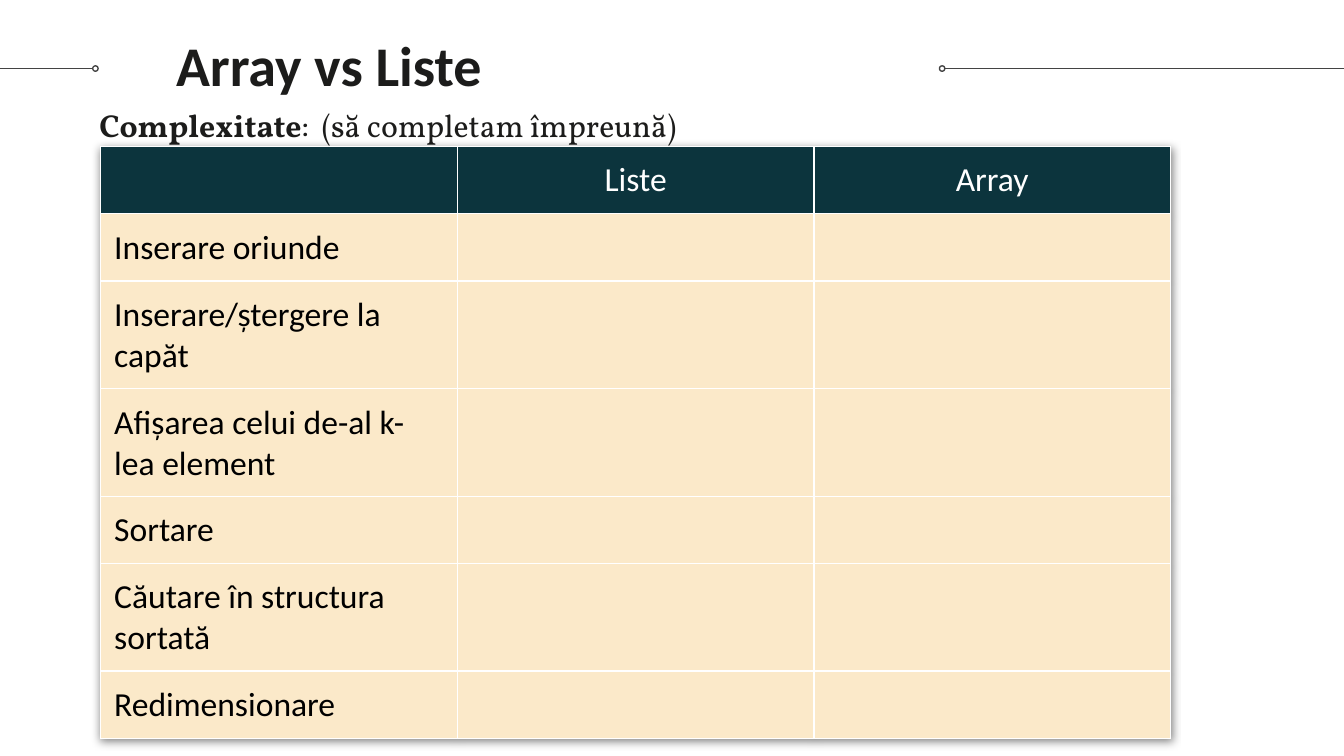
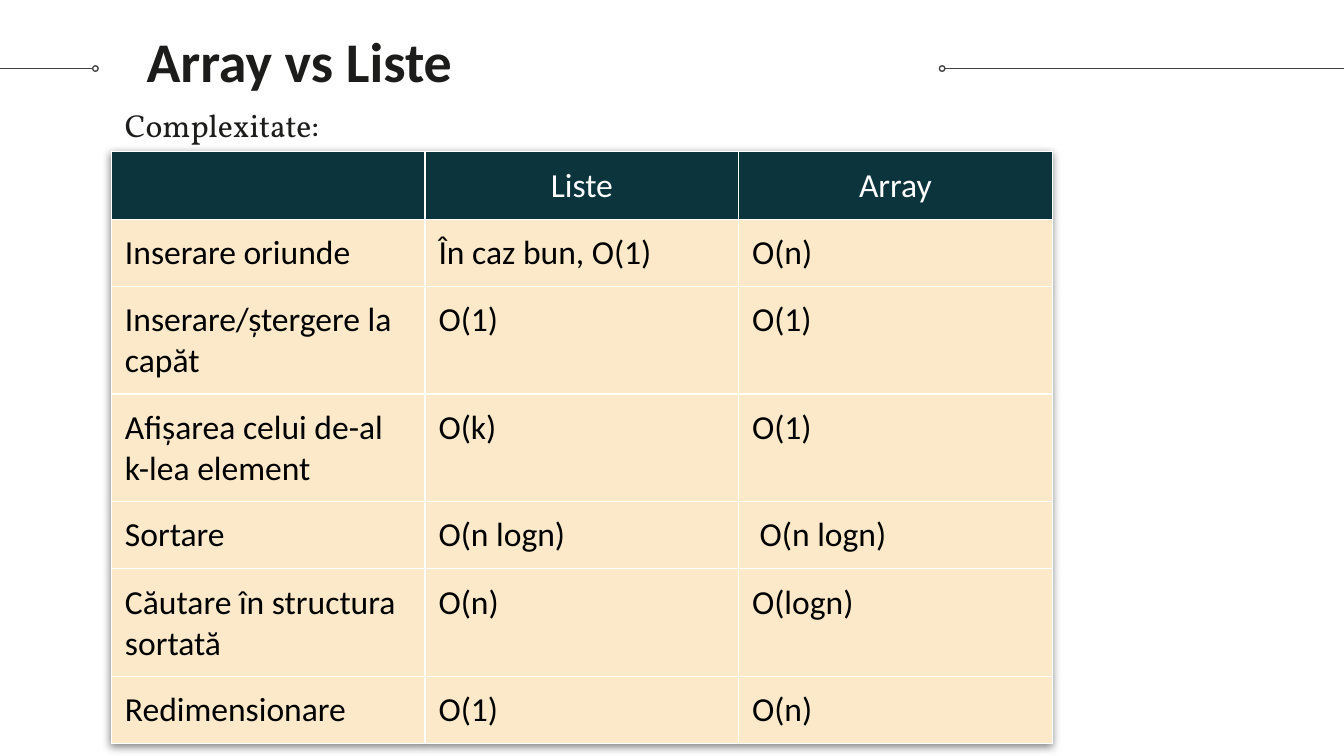
from lxml.etree import SubElement
from pptx import Presentation
from pptx.dml.color import RGBColor
from pptx.enum.shapes import MSO_CONNECTOR, MSO_SHAPE
from pptx.enum.text import MSO_ANCHOR as ANCHOR, PP_ALIGN as ALIGN
from pptx.oxml import parse_xml
from pptx.oxml.ns import nsdecls, qn
from pptx.util import Inches, Pt

INK = "1C1C1B"
RULE = "434343"
HEADER_FILL = "0C343D"
BODY_FILL = "FBE9C9"
WHITE = "FFFFFF"
BLACK = "000000"
MARGIN = Inches(0.1)
DOT = 0.04
RULE_Y = 0.51
RULES = [(0, 0.69, 0.69), (7.03, 10, 6.99)]
TABLE_HEIGHT = 4.4
TALL_ROWS = (2, 3, 5)
HEADER = ["", "Liste", "Array"]
OPERATIONS = [
    "Inserare oriunde",
    "Inserare/ștergere la capăt",
    "Afișarea celui de-al k-lea element",
    "Sortare",
    "Căutare în structura sortată",
    "Redimensionare",
]
COSTS = [
    ("În caz bun, O(1)", "O(n)"),
    ("O(1)", "O(1)"),
    ("O(k)", "O(1)"),
    ("O(n logn)", " O(n logn)"),
    ("O(n)", "O(logn)"),
    ("O(1)", "O(n)"),
]
SLIDES = [
    {
        "title": (1.21, 0.13),
        "caption_left": 0.64,
        "caption": [("Complexitate", True), (":  (să completam împreună)", False)],
        "table": (0.75, 1.09, 7.96),
        "row_heights": (0.49, 0.79),
        "costs": [("", "")] * len(OPERATIONS),
    },
    {
        "title": (0.99, 0.1),
        "caption_left": 0.83,
        "caption": [("Complexitate:", False)],
        "table": (0.83, 1.13, 7),
        "row_heights": (0.4, 0.64),
        "costs": COSTS,
    },
]


def color(value):
    return RGBColor.from_string(value)


def style_font(font, name, size, value, bold=False):
    font.name = name
    font.size = Pt(size)
    font.bold = bold
    font.color.rgb = color(value)


presentation = Presentation()
presentation.slide_width = Inches(10)
presentation.slide_height = Inches(10 * 9 / 16)

for content in SLIDES:
    slide = presentation.slides.add_slide(presentation.slide_layouts[5])

    for start, end, dot_left in RULES:
        rule = slide.shapes.add_connector(
            MSO_CONNECTOR.STRAIGHT,
            Inches(start), Inches(RULE_Y), Inches(end), Inches(RULE_Y),
        )
        SubElement(rule._element.spPr, qn("a:effectLst"))
        dot = slide.shapes.add_shape(
            MSO_SHAPE.OVAL,
            Inches(dot_left), Inches(RULE_Y - DOT / 2), Inches(DOT), Inches(DOT),
        )
        dot.shadow.inherit = False
        dot.fill.background()
        for line in (rule.line, dot.line):
            line.color.rgb = color(RULE)
            line.width = Pt(0.75)

    title = slide.shapes.title
    title.left, title.top = [Inches(value) for value in content["title"]]
    title.width, title.height = Inches(9.32), Inches(0.77)
    title.text_frame.text = "Array vs Liste"
    title.text_frame.vertical_anchor = ANCHOR.TOP
    paragraph = title.text_frame.paragraphs[0]
    paragraph.alignment = ALIGN.LEFT
    style_font(paragraph.runs[0].font, "Calibri", 30, INK, True)

    caption = slide.shapes.add_textbox(
        Inches(content["caption_left"]), Inches(0.69), Inches(9.32), Inches(4.24)
    )
    caption.text_frame.word_wrap = True
    for text, bold in content["caption"]:
        run = caption.text_frame.paragraphs[0].add_run()
        run.text = text
        style_font(run.font, "Vollkorn", 17, INK, bold)

    for frame in (title.text_frame, caption.text_frame):
        frame.margin_left = frame.margin_right = MARGIN
        frame.margin_top = frame.margin_bottom = MARGIN

    rows = [HEADER] + [[name, *costs] for name, costs in zip(OPERATIONS, content["costs"])]
    left, top, width = content["table"]
    short_height, tall_height = content["row_heights"]
    table_frame = slide.shapes.add_table(
        len(rows), len(HEADER),
        Inches(left), Inches(top), Inches(width), Inches(TABLE_HEIGHT),
    )
    table = table_frame.table
    table.horz_banding = False
    table._tbl.tblPr.insert(0, parse_xml(
        f'<a:effectLst {nsdecls("a")}>'
        '<a:outerShdw blurRad="57150" dist="19050" dir="5400000" algn="bl" rotWithShape="0">'
        '<a:srgbClr val="000000"><a:alpha val="50000"/></a:srgbClr>'
        '</a:outerShdw></a:effectLst>'
    ))
    for row_index, texts in enumerate(rows):
        table.rows[row_index].height = Inches(
            tall_height if row_index in TALL_ROWS else short_height
        )
        is_header = row_index == 0
        for column_index, text in enumerate(texts):
            cell = table.cell(row_index, column_index)
            cell.text_frame.text = text
            cell.margin_left = cell.margin_right = MARGIN
            cell.margin_top = cell.margin_bottom = MARGIN
            paragraph = cell.text_frame.paragraphs[0]
            paragraph.alignment = ALIGN.CENTER if is_header else ALIGN.LEFT
            for run in paragraph.runs:
                style_font(run.font, "Calibri", 18, WHITE if is_header else BLACK)
            properties = cell._tc.get_or_add_tcPr()
            for side in ("lnL", "lnR", "lnT", "lnB"):
                properties.append(parse_xml(
                    f'<a:{side} {nsdecls("a")} w="9525"><a:solidFill>'
                    f'<a:srgbClr val="{WHITE}"/></a:solidFill></a:{side}>'
                ))
            cell.fill.solid()
            cell.fill.fore_color.rgb = color(HEADER_FILL if is_header else BODY_FILL)
    table_frame.height = Inches(TABLE_HEIGHT)

presentation.save("out.pptx")
